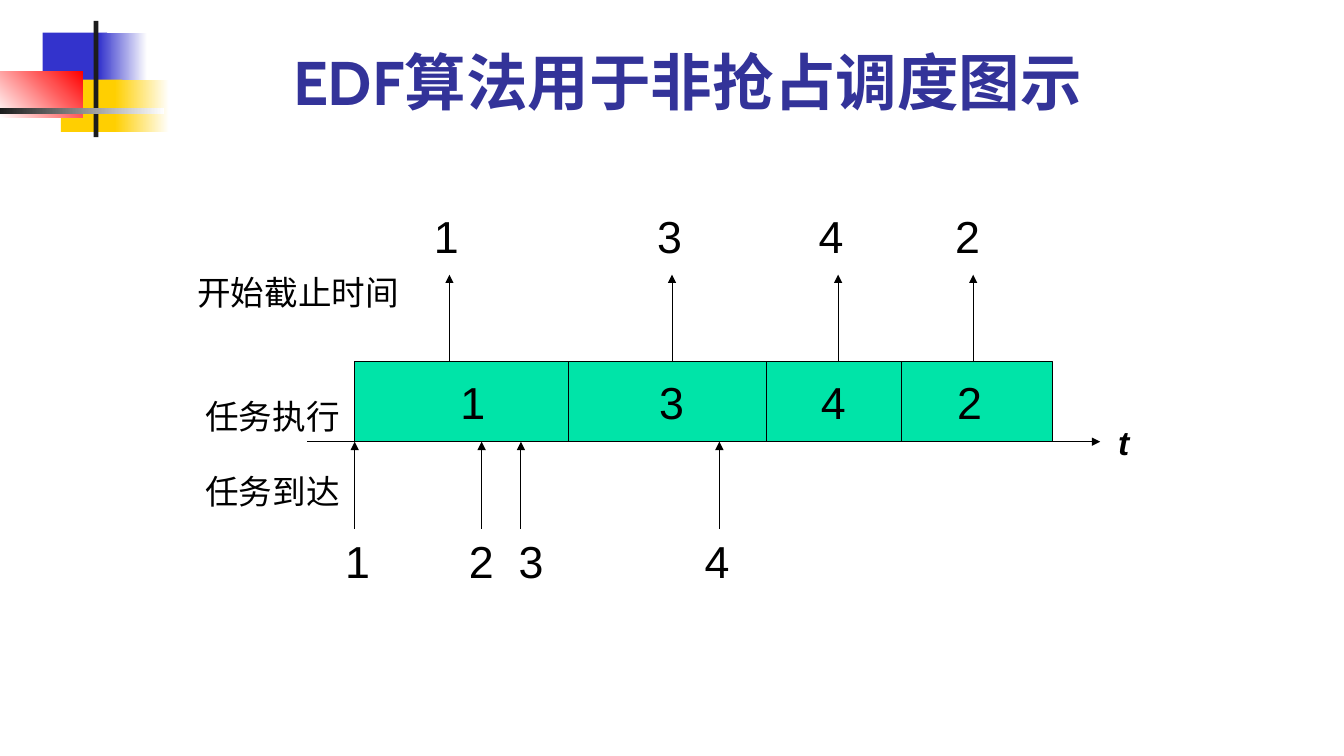
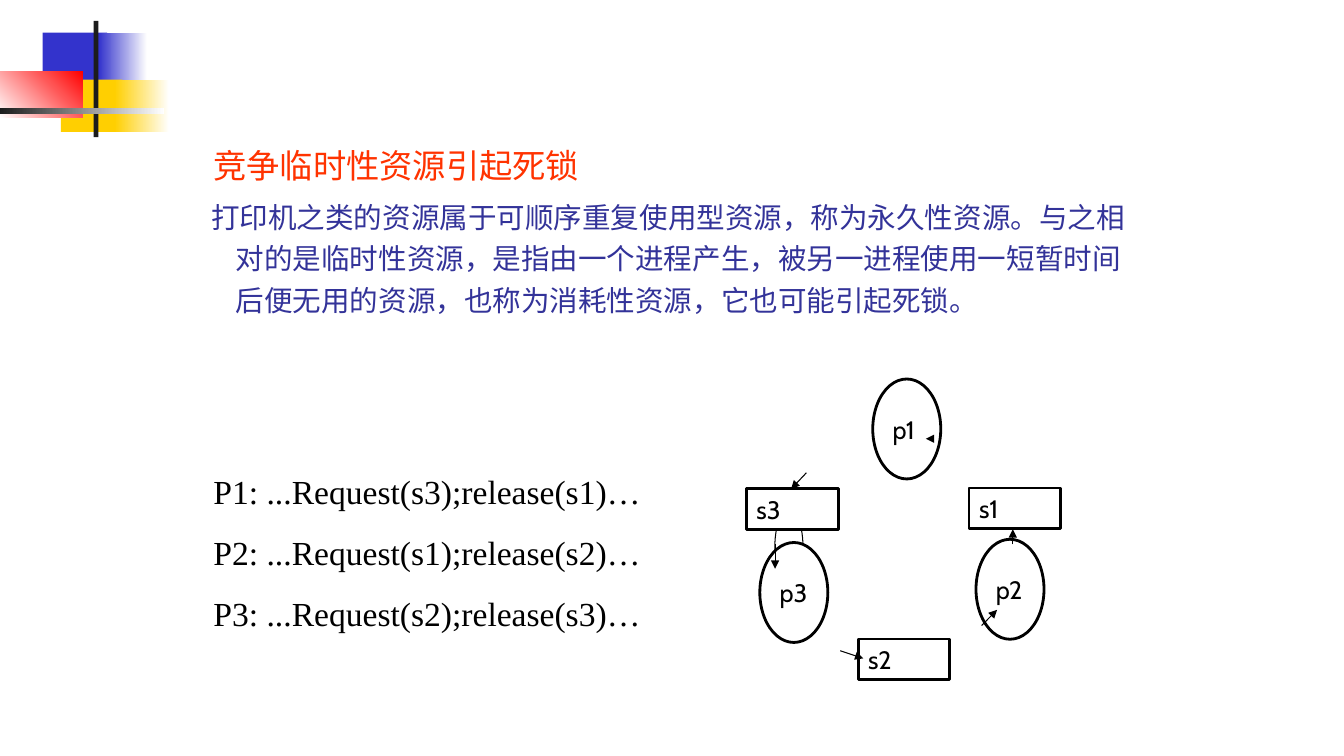
from dataclasses import dataclass
from typing import NamedTuple, Optional

from lxml import etree
from pptx import Presentation
from pptx import util as u
from pptx.dml.color import RGBColor
from pptx.enum import shapes, text
from pptx.oxml import ns

Pt = u.Pt
RECT, OVAL = shapes.MSO_SHAPE.RECTANGLE, shapes.MSO_SHAPE.OVAL


@dataclass(frozen=True)
class Theme:
    black: str = "000000"
    white: str = "FFFFFF"
    ink: str = "1C1C1C"
    blue: str = "3333CC"
    yellow: str = "FFCF01"
    red: str = "FF0000"
    heading: str = "333399"
    alert: str = "FF3300"
    task: str = "00E4A8"
    sans: str = "Arial"
    display: str = "Cabin"
    serif: str = "Times New Roman"
    cjk: str = "Noto Sans CJK SC"
    title_size: float = 44
    digit_size: float = 32
    label_size: float = 24
    topic_size: float = 23.8
    body_size: float = 20.4
    node_size: float = 18
    thin: float = 0.75
    thick: float = 2


THEME = Theme()


class Box(NamedTuple):
    left: float
    top: float
    width: float
    height: float


class Style(NamedTuple):
    size: float
    font: str = THEME.sans
    color: str = THEME.black
    bold: bool = False
    italic: bool = False


class Band(NamedTuple):
    box: Box
    start: str
    end: Optional[str] = None
    angle: float = 0


class Node(NamedTuple):
    name: str
    kind: shapes.MSO_SHAPE
    box: Box


class Arrow(NamedTuple):
    x1: float
    y1: float
    x2: float
    y2: float


TITLE = Style(THEME.title_size, THEME.display, THEME.heading, bold=True)
DIGIT = Style(THEME.digit_size)
LABEL = Style(THEME.label_size)
AXIS = Style(THEME.label_size, bold=True, italic=True)
TOPIC = Style(THEME.topic_size, THEME.cjk, THEME.alert)
BODY = Style(THEME.body_size, THEME.cjk, THEME.heading)
CODE = Style(THEME.label_size, THEME.serif)
NODE = Style(THEME.node_size, THEME.display)

# Corner ornament shared by the slides
ORNAMENT = [
    Band(Box(30.5, 23.3, 46, 37.4), THEME.blue),
    Band(Box(70.5, 23.3, 34.6, 37.4), THEME.blue, THEME.white),
    Band(Box(43.5, 56.8, 44, 37.4), THEME.yellow),
    Band(Box(82, 56.8, 38.9, 37.4), THEME.yellow, THEME.white),
    Band(Box(0, 51, 59.3, 33.3), THEME.white, THEME.red, 45),
    Band(Box(66.9, 15, 3.5, 83), THEME.ink),
    Band(Box(0, 77.2, 117.2, 4.3), THEME.ink, THEME.white),
]


def rgb(color: str) -> RGBColor:
    return RGBColor.from_string(color)


def points(values) -> list:
    return [Pt(value) for value in values]


def style_paragraph(paragraph, style: Style) -> None:
    for run in paragraph.runs:
        font = run.font
        font.size, font.name = Pt(style.size), style.font
        font.bold, font.italic = style.bold, style.italic
        font.color.rgb = rgb(style.color)
        east_asian = etree.SubElement(run._r.get_or_add_rPr(), ns.qn("a:ea"))
        east_asian.set("typeface", THEME.cjk)


def write(shape, lines: list[str], styles: list[Style], align=text.PP_ALIGN.LEFT,
          anchor=text.MSO_ANCHOR.TOP, gap: float = 0) -> list:
    """Fill a shape with one styled paragraph per line."""
    frame = shape.text_frame
    frame.text = "\n".join(lines)
    frame.word_wrap = True
    frame.vertical_anchor = anchor
    for index, (paragraph, style) in enumerate(zip(frame.paragraphs, styles)):
        paragraph.alignment = align
        if index and gap:
            paragraph.space_before = Pt(gap)
        style_paragraph(paragraph, style)
    return list(frame.paragraphs)


def add_text(slide, box: Box, lines: list[str], styles: list[Style], **options) -> list:
    return write(slide.shapes.add_textbox(*points(box)), lines, styles, **options)


def add_outline(slide, kind, box: Box, fill: Optional[str] = None,
                line: Optional[float] = None):
    shape = slide.shapes.add_shape(kind, *points(box))
    shape.shadow.inherit = False
    if fill:
        shape.fill.solid()
        shape.fill.fore_color.rgb = rgb(fill)
    else:
        shape.fill.background()
    if line:
        shape.line.color.rgb = rgb(THEME.black)
        shape.line.width = Pt(line)
    else:
        shape.line.fill.background()
    return shape


def add_line(slide, arrow: Arrow, head: bool = True) -> None:
    line = slide.shapes.add_connector(shapes.MSO_CONNECTOR.STRAIGHT, *points(arrow))
    line.line.color.rgb = rgb(THEME.black)
    line.line.width = Pt(THEME.thin)
    if head:
        tail = etree.SubElement(line.line._get_or_add_ln(), ns.qn("a:tailEnd"))
        tail.set("type", "triangle")
    etree.SubElement(line._element.spPr, ns.qn("a:effectLst"))


def add_digits(slide, centers: dict[str, float], top: float) -> None:
    width, height = 40, 46
    for digit, center in centers.items():
        add_text(slide, Box(center - width / 2, top, width, height), [digit],
                 [DIGIT], align=text.PP_ALIGN.CENTER)


def new_slide(deck):
    slide = deck.slides.add_slide(deck.slide_layouts[6])
    for band in ORNAMENT:
        shape = add_outline(slide, RECT, band.box, band.start)
        if band.end:
            shape.fill.gradient()
            shape.fill.gradient_angle = band.angle
            for stop, color in zip(shape.fill.gradient_stops, (band.start, band.end)):
                stop.color.rgb = rgb(color)
                stop.position = 0 if color == band.start else 1
    return slide


def build_schedule(deck) -> None:
    slide = new_slide(deck)
    add_text(slide, Box(202.3, 25.9, 618.5, 61.9), ["EDF算法用于非抢占调度图示"],
             [TITLE], anchor=text.MSO_ANCHOR.BOTTOM)

    # Execution bar and time axis
    bar = Box(253.5, 258.5, 499, 57)
    axis_y = bar.top + bar.height
    add_outline(slide, RECT, bar, THEME.task, THEME.thin)
    for x in (406.1, 548, 644.5):
        add_line(slide, Arrow(x, bar.top, x, axis_y), head=False)
    add_line(slide, Arrow(219.6, axis_y, 786.3, axis_y))

    # Arrivals below, starting deadlines above
    arrow_length = 62.3
    for x in (253.5, 344.2, 372.3, 514.1):
        add_line(slide, Arrow(x, axis_y + arrow_length, x, axis_y))
    for x in (321.2, 480.3, 599, 695.5):
        add_line(slide, Arrow(x, bar.top, x, bar.top - arrow_length))

    # Task numbers
    add_digits(slide, {"1": 319, "3": 478.5, "4": 594, "2": 691.5}, 145.5)
    add_digits(slide, {"1": 338, "3": 480, "4": 595.5, "2": 693}, 264)
    add_digits(slide, {"1": 255.5, "2": 344, "3": 379.5, "4": 512.5}, 377.5)

    # Row and axis labels
    for label, left, top, width, style in (
        ("开始截止时间", 134, 190.8, 187, LABEL),
        ("任务执行", 139.7, 279.4, 114, LABEL),
        ("任务到达", 139.7, 332.6, 114, LABEL),
        ("t", 792, 298, 28, AXIS),
    ):
        add_text(slide, Box(left, top, width, 36), [label], [style])


def build_deadlock(deck) -> None:
    slide = new_slide(deck)

    # Explanation with hanging indents
    explanation = add_text(
        slide, Box(134, 94.3, 692, 142),
        ["竞争临时性资源引起死锁",
         "打印机之类的资源属于可顺序重复使用型资源，称为永久性资源。与之相对的是临时性资源，"
         "是指由一个进程产生，被另一进程使用一短暂时间后便无用的资源，也称为消耗性资源，"
         "它也可能引起死锁。"],
        [TOPIC, BODY], gap=6)
    for paragraph, hanging in zip(explanation, (16, 17.5)):
        paragraph.line_spacing = 1.2
        properties = paragraph._p.get_or_add_pPr()
        properties.set("marL", str(Pt(27.4)))
        properties.set("indent", str(-Pt(hanging)))

    # Resource graph
    add_outline(slide, OVAL, Box(553.7, 362.9, 20.2, 57.6), line=THEME.thin)
    resource, process = (65.6, 29), (48.6, 71.4)
    for node in (
        Node("s3", RECT, Box(533.5, 349.2, *resource)),
        Node("s1", RECT, Box(692.6, 348.6, *resource)),
        Node("s2", RECT, Box(613.3, 456.5, *resource)),
        Node("p3", OVAL, Box(543, 387.5, *process)),
        Node("p2", OVAL, Box(697.5, 385.2, *process)),
        Node("p1", OVAL, Box(623.7, 270.7, *process)),
    ):
        outline = add_outline(slide, node.kind, node.box, THEME.white, THEME.thick)
        write(outline, [node.name], [NODE], anchor=text.MSO_ANCHOR.MIDDLE)
    for arrow in (
        Arrow(600.5, 464.8, 617, 470.3),
        Arrow(553.9, 388.8, 553.9, 406.3),
        Arrow(576.3, 337.7, 565.4, 349.2),
        Arrow(666.7, 313.4, 661.7, 313.4),
        Arrow(723.8, 388.8, 723.8, 378),
        Arrow(701.5, 446.8, 712.6, 435.6),
    ):
        add_line(slide, arrow)

    # Process programs
    add_text(slide, Box(145.5, 332.6, 363, 168),
             ["P1: ...Request(s3);release(s1)…",
              "P2: ...Request(s1);release(s2)…",
              "P3: ...Request(s2);release(s3)…"],
             [CODE] * 3, gap=15)


def main() -> None:
    deck = Presentation()
    deck.slide_width, deck.slide_height = Pt(960.48), Pt(540)
    build_schedule(deck)
    build_deadlock(deck)
    deck.save("out.pptx")


if __name__ == "__main__":
    main()
